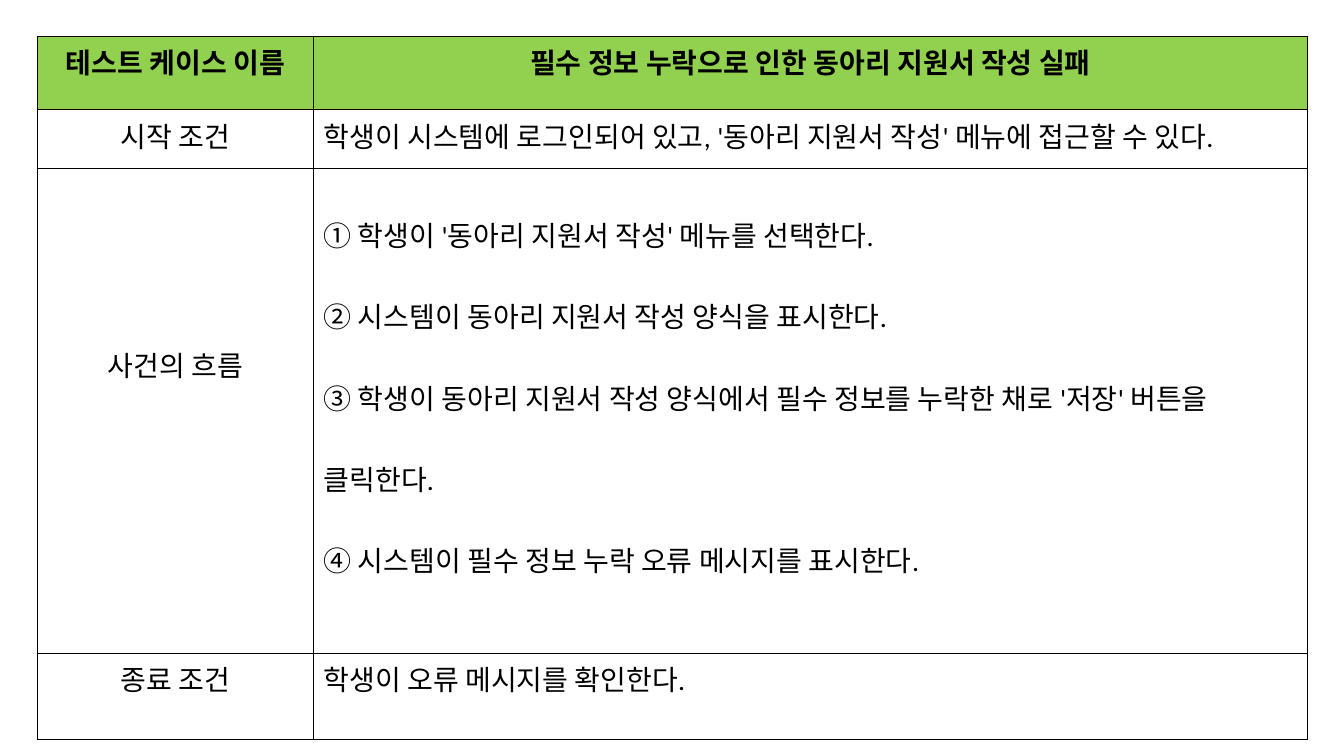
from lxml import etree
from pptx import Presentation
from pptx.dml.color import RGBColor
from pptx.enum.text import PP_ALIGN as Align
from pptx.oxml.ns import qn
from pptx.util import Inches, Pt

HEADER_FILL, INK = "92D050", "000000"
COLUMN_WIDTHS = [2.74, 9.86]
LABEL_DROP = 1.74  # top margin of the label beside the event flow

# label, lines of text, row height, line spacing
ROWS = [
    ("테스트 케이스 이름", ["필수 정보 누락으로 인한 동아리 지원서 작성 실패"], 0.73, 1),
    ("시작 조건", ["학생이 시스템에 로그인되어 있고, '동아리 지원서 작성' 메뉴에 접근할 수 있다."], 0.58, 1),
    ("사건의 흐름", [
        "① 학생이 '동아리 지원서 작성' 메뉴를 선택한다.",
        "② 시스템이 동아리 지원서 작성 양식을 표시한다.",
        "③ 학생이 동아리 지원서 작성 양식에서 필수 정보를 누락한 채로 '저장' 버튼을 클릭한다.",
        "④ 시스템이 필수 정보 누락 오류 메시지를 표시한다.",
    ], 4.81, 2),
    ("종료 조건", ["학생이 오류 메시지를 확인한다."], 0.86, 1),
]


def color(value):
    return RGBColor.from_string(value)


def add_borders(cell):
    properties = cell._tc.get_or_add_tcPr()
    for index, side in enumerate(("lnL", "lnR", "lnT", "lnB")):
        line = etree.Element(qn(f"a:{side}"), w=str(Pt(1)))
        fill = etree.SubElement(line, qn("a:solidFill"))
        etree.SubElement(fill, qn("a:srgbClr"), val=INK)
        properties.insert(index, line)


def fill_cell(cell, lines, is_header, centered, spacing):
    if is_header:
        cell.fill.solid()
        cell.fill.fore_color.rgb = color(HEADER_FILL)
    else:
        cell.fill.background()
    add_borders(cell)
    cell.text = "\n".join(lines)
    for para in cell.text_frame.paragraphs:
        para.alignment = Align.CENTER if centered else Align.LEFT
        if spacing != 1:
            para.line_spacing = float(spacing)
        font = para.font
        font.name, font.size, font.bold = "Calibri", Pt(20), is_header
        font.color.rgb = color(INK)


def main():
    deck = Presentation()
    deck.slide_width, deck.slide_height = Inches(13.33), Inches(7.5)
    page = deck.slides.add_slide(deck.slide_layouts[6])

    total_height = sum(height for _, _, height, _ in ROWS)
    table = page.shapes.add_table(
        len(ROWS), len(COLUMN_WIDTHS), Inches(0.37), Inches(0.36),
        Inches(sum(COLUMN_WIDTHS)), Inches(total_height)).table
    table.horz_banding = False
    for column, width in zip(table.columns, COLUMN_WIDTHS):
        column.width = Inches(width)

    for index, (label, lines, height, spacing) in enumerate(ROWS):
        row = table.rows[index]
        row.height = Inches(height)
        label_cell, text_cell = row.cells
        is_header = index == 0
        fill_cell(label_cell, [label], is_header, True, 1)
        fill_cell(text_cell, lines, is_header, is_header, spacing)
        if len(lines) > 1:
            label_cell.margin_top = Inches(LABEL_DROP)

    deck.save("out.pptx")


if __name__ == "__main__":
    main()
